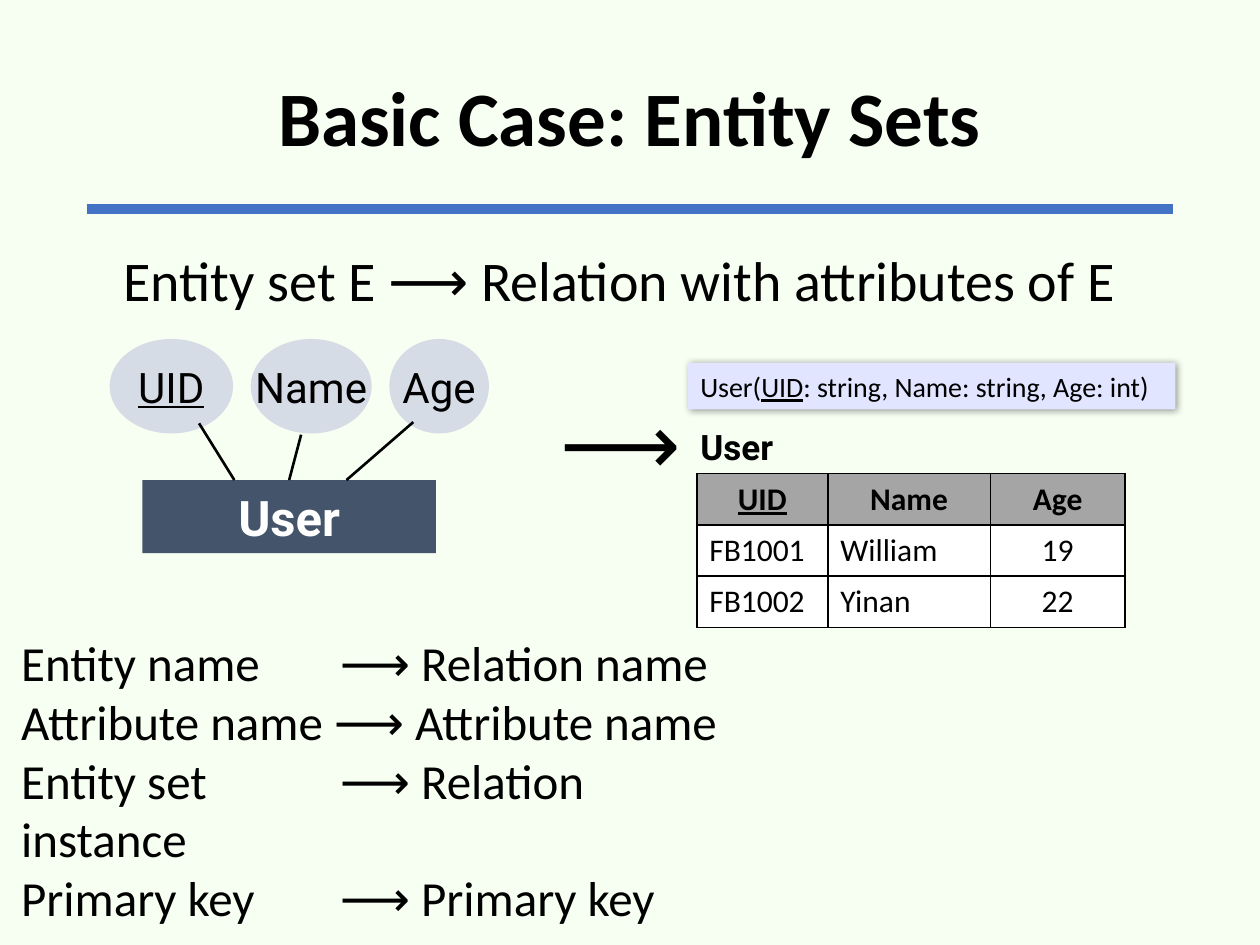
from lxml import etree
from pptx import Presentation, util as u
from pptx.dml.color import RGBColor
from pptx.enum import shapes, text
from pptx.oxml import ns, parse_xml

BLACK = RGBColor(0x00, 0x00, 0x00)
WHITE = RGBColor(0xFF, 0xFF, 0xFF)
MINT = RGBColor(0xF7, 0xFF, 0xF3)
RULE_BLUE = RGBColor(0x44, 0x72, 0xC4)
SLATE = RGBColor(0x44, 0x54, 0x6A)
PALE_SLATE = RGBColor(0xD6, 0xDC, 0xE5)
LAVENDER = RGBColor(0xE2, 0xE5, 0xFF)
HEADER_GREY = RGBColor(0xA5, 0xA5, 0xA5)

SLIDE_WIDTH = u.Inches(10)
SLIDE_HEIGHT = u.Inches(7.5)
COLUMNS = 100
CELL = SLIDE_WIDTH / COLUMNS
LEFT, CENTER = text.PP_ALIGN.LEFT, text.PP_ALIGN.CENTER


def grid(*cells):
    return [u.Emu(round(cell * CELL)) for cell in cells]


def style_runs(paragraph, size, face="Calibri", color=BLACK, bold=False, underlined=""):
    for run in paragraph.runs:
        font = run.font
        font.size, font.name, font.bold = u.Pt(size), face, bold
        font.color.rgb = color
        font.underline = run.text == underlined


def add_label(slide, place, words, size, wrap=False, **style):
    label = slide.shapes.add_textbox(*grid(*place))
    label.text_frame.word_wrap = wrap
    label.text_frame.text = words
    for paragraph in label.text_frame.paragraphs:
        style_runs(paragraph, size, **style)
    return label


def add_node(parent, kind, place, words, fill, size, **style):
    node = parent.shapes.add_shape(kind, *grid(*place))
    node.shadow.inherit = False
    node.fill.solid()
    node.fill.fore_color.rgb = fill
    node.line.fill.background()
    frame = node.text_frame
    frame.word_wrap = False
    frame.vertical_anchor = text.MSO_ANCHOR.MIDDLE
    frame.text = words
    frame.paragraphs[0].alignment = CENTER
    style_runs(frame.paragraphs[0], size, face="Roboto", **style)
    return node


def add_line(parent, start, end, color, width):
    line = parent.shapes.add_connector(
        shapes.MSO_CONNECTOR.STRAIGHT, *grid(*start, *end))
    line.line.color.rgb = color
    line.line.width = u.Pt(width)
    etree.SubElement(line._element.spPr, ns.qn("a:effectLst"))
    return line


def add_title(slide, words):
    title = slide.shapes.title
    title.left, title.top, title.width, title.height = grid(6.9, 2.4, 86.2, 14.5)
    title.text_frame.text = words
    title.text_frame.vertical_anchor = text.MSO_ANCHOR.MIDDLE
    heading = title.text_frame.paragraphs[0]
    heading.alignment = CENTER
    heading.line_spacing = 0.9
    style_runs(heading, 44, bold=True)
    add_line(slide, (6.9, 16.6), (93.1, 16.6), RULE_BLUE, 6)


def add_entity_diagram(slide):
    diagram = slide.shapes.add_group_shape()
    entity = add_node(diagram, shapes.MSO_SHAPE.RECTANGLE, (11.3, 38.1, 23.3, 5.8),
                      "User", SLATE, 28, color=WHITE, bold=True)
    attributes = [
        ("UID", 8.7, 9.8, (18.6, 38.1), (15.8, 33.6)),
        ("Name", 19.9, 9.6, (22.95, 38.1), (23.9, 34.5)),
        ("Age", 30.9, 7.9, (27.5, 38.1), (32.8, 33.5)),
    ]
    for attribute, left, width, start, end in attributes:
        add_node(diagram, shapes.MSO_SHAPE.OVAL, (left, 26.9, width, 7.5),
                 attribute, PALE_SLATE, 24, underlined="UID")
        link = add_line(diagram, start, end, BLACK, 1.5)
        if attribute == "Name":
            link.begin_connect(entity, 0)


def add_schema(slide):
    schema = slide.shapes.add_shape(
        shapes.MSO_SHAPE.RECTANGLE, *grid(54.6, 28.8, 38.7, 3.7))
    schema.fill.solid()
    schema.fill.fore_color.rgb = LAVENDER
    schema.line.fill.background()
    schema._element.spPr.append(parse_xml(
        f'<a:effectLst {ns.nsdecls("a")}>'
        f'<a:outerShdw blurRad="{u.Pt(4)}" dist="{u.Pt(1)}" dir="2700000">'
        '<a:srgbClr val="000000"><a:alpha val="40000"/></a:srgbClr>'
        '</a:outerShdw></a:effectLst>'))
    signature = schema.text_frame.paragraphs[0]
    signature.alignment = LEFT
    for part in ("User(", "UID", ": string, Name: string, Age: int)"):
        signature.add_run().text = part
    style_runs(signature, 16, underlined="UID")


def add_borders(cell):
    properties = cell._tc.get_or_add_tcPr()
    for position, side in enumerate(("lnL", "lnR", "lnT", "lnB")):
        properties.insert(position, parse_xml(
            f'<a:{side} {ns.nsdecls("a")} w="{u.Pt(1)}"><a:solidFill>'
            f'<a:srgbClr val="{BLACK}"/></a:solidFill></a:{side}>'))


def add_relation(slide):
    records = [("UID", "Name", "Age"),
               ("FB1001", "William", "19"),
               ("FB1002", "Yinan", "22")]
    relation = slide.shapes.add_table(3, 3, *grid(55.3, 37.6, 34, 12.2)).table
    for column, width in zip(relation.columns, grid(10.4, 12.9, 10.7)):
        column.width = width
    for row, record in enumerate(records):
        header = row == 0
        for column, value in enumerate(record):
            cell = relation.cell(row, column)
            cell.fill.solid()
            cell.fill.fore_color.rgb = HEADER_GREY if header else WHITE
            cell.text_frame.text = value
            paragraph = cell.text_frame.paragraphs[0]
            paragraph.alignment = CENTER if header or column == 2 else LEFT
            style_runs(paragraph, 18, bold=header, underlined="UID")
            add_borders(cell)


def add_mapping(slide):
    pairs = ["Entity name\t⟶ Relation name",
             "Attribute name ⟶ Attribute name",
             "Entity set\t⟶ Relation instance",
             "Primary key\t⟶ Primary key"]
    mapping = add_label(slide, (0.7, 49.7, 59, 19.9), "\n".join(pairs), 28, wrap=True)
    arrow_column, = grid(25.3)
    for paragraph in mapping.text_frame.paragraphs:
        stops = etree.SubElement(paragraph._p.get_or_add_pPr(), ns.qn("a:tabLst"))
        etree.SubElement(stops, ns.qn("a:tab"), pos=str(arrow_column), algn="l")


def main():
    deck = Presentation()
    deck.slide_width, deck.slide_height = SLIDE_WIDTH, SLIDE_HEIGHT
    slide = deck.slides.add_slide(deck.slide_layouts[5])
    slide.background.fill.solid()
    slide.background.fill.fore_color.rgb = MINT
    add_title(slide, "Basic Case: Entity Sets")
    add_label(slide, (8.8, 19, 82.5, 6.4),
              "Entity set E ⟶ Relation with attributes of E", 32)
    add_entity_diagram(slide)
    add_label(slide, (43.5, 30.5, 9.5, 9.1), "⟶", 48, wrap=True, face="Roboto")
    add_relation(slide)
    add_label(slide, (54.6, 33.3, 7.8, 4.4), "User", 20, face="Roboto", bold=True)
    add_mapping(slide)
    add_schema(slide)
    deck.save("out.pptx")


if __name__ == "__main__":
    main()
